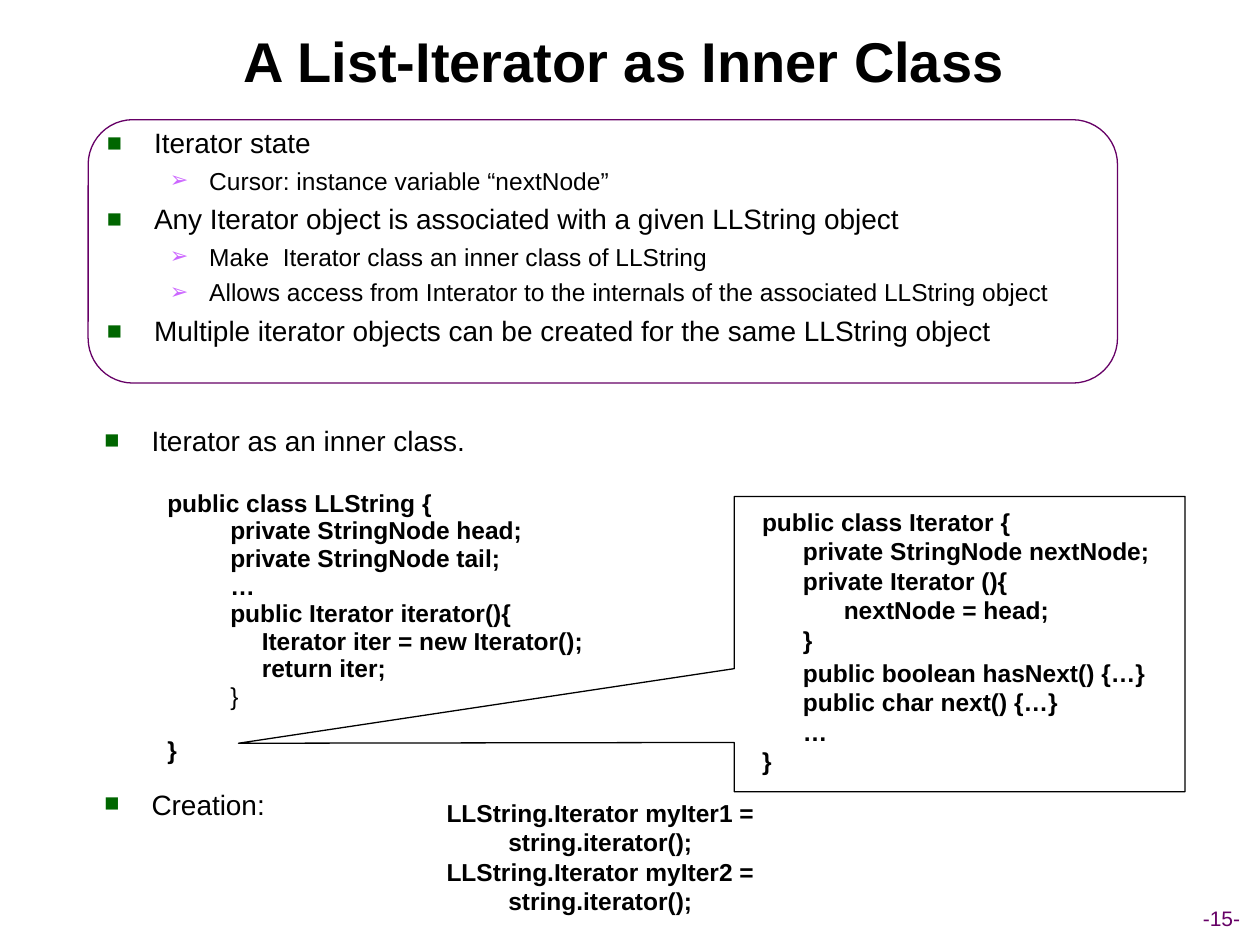
from lxml import etree
from pptx import Presentation
from pptx.dml.color import RGBColor
from pptx.enum.shapes import MSO_SHAPE
from pptx.enum.text import MSO_ANCHOR, PP_ALIGN
from pptx.oxml.ns import qn
from pptx.util import Pt

ROUNDED, CALLOUT = MSO_SHAPE.ROUNDED_RECTANGLE, MSO_SHAPE.RECTANGULAR_CALLOUT
TOP, MIDDLE = MSO_ANCHOR.TOP, MSO_ANCHOR.MIDDLE
LEFT, CENTER = PP_ALIGN.LEFT, PP_ALIGN.CENTER
FONT, BLACK, PURPLE = "Arial", "000000", "660066"

TITLE = "A List-Iterator as Inner Class"
PAGE_NUMBER = "-15-"
POINTS = [
    ("main", "Iterator state"),
    ("sub", "Cursor: instance variable “nextNode”"),
    ("main", "Any Iterator object is associated with a given LLString object"),
    ("sub", "Make  Iterator class an inner class of LLString"),
    ("sub", "Allows access from Interator to the internals of the associated LLString object"),
    ("main", "Multiple iterator objects can be created for the same LLString object"),
]
OUTER_CLASS = [
    ("main", "Iterator as an inner class.", 0),
    ("class", "public class LLString {", 22.4),
    ("member", "private StringNode head;", 4),
    ("member", "private StringNode tail;", 4),
    ("member", "…", 4),
    ("member", "public Iterator iterator(){", 4),
    ("body", "Iterator iter = new Iterator();", 4),
    ("body", "return iter;", 4),
    ("plain", "}", 4),
    ("class", "}", 19),
    ("main", "Creation:", 19),
]
INNER_CLASS = [
    (0, "public class Iterator {", 0),
    (1, "private StringNode nextNode;", 0),
    (1, "private Iterator (){", 0),
    (2, "nextNode = head;", 0),
    (1, "}", 0),
    (1, "public boolean hasNext() {…}", 2),
    (1, "public char next() {…}", 0),
    (1, "…", 0),
    (0, "}", 0),
]
CREATION = [
    "LLString.Iterator myIter1 = string.iterator();",
    "LLString.Iterator myIter2 = string.iterator();",
]
STYLES = {
    "main": dict(size=16, margin=27, hanging=27, bullet=("■", "006600"), before=4),
    "sub": dict(size=14, margin=58.5, hanging=22.5, bullet=("➢", "CC66FF"), before=3.5),
    "class": dict(size=14, bold=True, margin=36),
    "member": dict(size=14, bold=True, margin=72),
    "body": dict(size=14, bold=True, margin=90),
    "plain": dict(size=14, margin=72),
}
CODE_INDENT = 23.35


def rgb(value):
    return RGBColor.from_string(value)


def add_box(page, left, top, width, height, anchor=TOP, wrap=True):
    box = page.shapes.add_textbox(Pt(left), Pt(top), Pt(width), Pt(height))
    frame = box.text_frame
    frame.word_wrap = wrap
    frame.vertical_anchor = anchor
    return frame


def add_bullet(properties, char, color):
    fill = etree.SubElement(properties, qn("a:buClr"))
    etree.SubElement(fill, qn("a:srgbClr"), val=color)
    etree.SubElement(properties, qn("a:buSzPct"), val="90000")
    etree.SubElement(properties, qn("a:buFont"), typeface=FONT)
    etree.SubElement(properties, qn("a:buChar"), char=char)


def add_line(frame, text, size, bold=False, color=BLACK, align=LEFT,
             margin=0, hanging=0, bullet=None, before=0, spacing=None):
    para = frame.paragraphs[0] if not frame.text else frame.add_paragraph()
    para.text = text
    para.alignment = align
    properties = para._p.get_or_add_pPr()
    properties.set("marL", str(Pt(margin)))
    properties.set("indent", str(Pt(-hanging)))
    if bullet:
        add_bullet(properties, *bullet)
    para.space_before = Pt(before)
    if spacing:
        para.line_spacing = spacing
    font = para.font
    font.name, font.size, font.bold = FONT, Pt(size), bold
    font.color.rgb = rgb(color)


def add_outline(page, kind, left, top, width, height, color, adjustments):
    shape = page.shapes.add_shape(kind, Pt(left), Pt(top), Pt(width), Pt(height))
    shape.shadow.inherit = False
    shape.fill.background()
    shape.line.color.rgb = rgb(color)
    shape.line.width = Pt(0.75)
    for index, value in enumerate(adjustments):
        shape.adjustments[index] = value


def main():
    deck = Presentation()
    deck.slide_width, deck.slide_height = Pt(720), Pt(540)
    page = deck.slides.add_slide(deck.slide_layouts[6])

    number = add_box(page, 659.5, 514, 77, 21.6, MIDDLE, wrap=False)
    add_line(number, PAGE_NUMBER, 12, color=PURPLE, align=CENTER)

    title = add_box(page, 23, 0, 667.4, 68.4, MIDDLE)
    add_line(title, TITLE, 32, bold=True, align=CENTER)

    outer = add_box(page, 52.5, 244, 603.4, 235)
    for style, text, before in OUTER_CLASS:
        add_line(outer, text, **{**STYLES[style], "before": before, "spacing": 0.7})

    creation = add_box(page, 193.7, 452.2, 298.8, 74.9, MIDDLE)
    for text in CREATION:
        add_line(creation, text, 14, bold=True, align=CENTER)

    inner = add_box(page, 428.4, 285.8, 237.6, 161.3, MIDDLE)
    for level, text, before in INNER_CLASS:
        add_line(inner, text, 14, bold=True, margin=level * CODE_INDENT, before=before)
    add_outline(page, CALLOUT, 419.6, 283.7, 257.6, 168.7, BLACK, [-1.6, 0.336])

    points = add_box(page, 54, 68.4, 602.6, 177.8)
    for style, text in POINTS:
        add_line(points, text, **STYLES[style])
    add_outline(page, ROUNDED, 50.4, 68.4, 588.2, 150.5, PURPLE, [0.17])

    deck.save("out.pptx")


if __name__ == "__main__":
    main()
